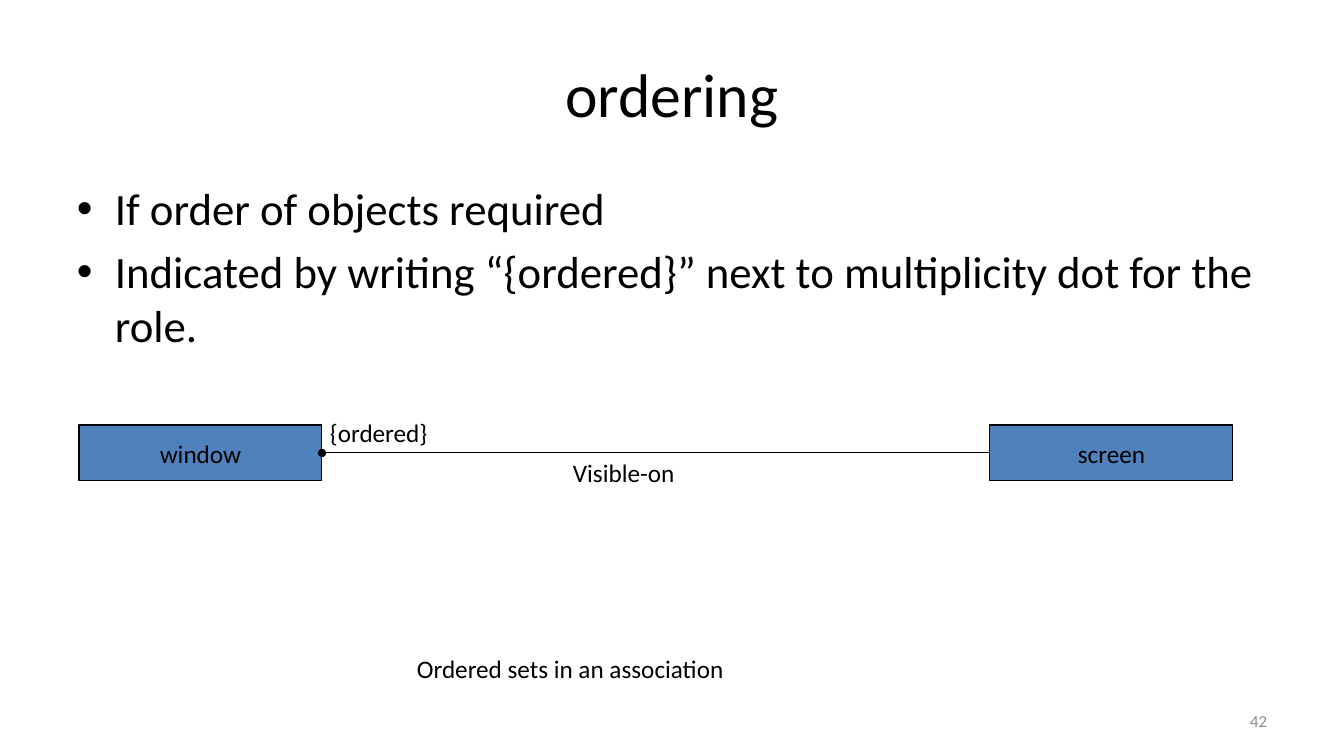
from lxml import etree
from pptx import Presentation
from pptx.dml.color import RGBColor
from pptx.enum.shapes import MSO_CONNECTOR, MSO_SHAPE
from pptx.enum.text import MSO_ANCHOR, MSO_AUTO_SIZE, PP_ALIGN
from pptx.oxml.ns import qn
from pptx.util import Emu, Pt

LEFT, CENTER, RIGHT = PP_ALIGN.LEFT, PP_ALIGN.CENTER, PP_ALIGN.RIGHT
TOP, MIDDLE = MSO_ANCHOR.TOP, MSO_ANCHOR.MIDDLE
FIT, NO_FIT = MSO_AUTO_SIZE.SHAPE_TO_FIT_TEXT, MSO_AUTO_SIZE.NONE
RECT, STRAIGHT = MSO_SHAPE.RECTANGLE, MSO_CONNECTOR.STRAIGHT

SCALE = 914400 / 100.8
FONT = "Calibri"
COLORS = {"ink": "000000", "box": "4F81BD", "page": "8C8C8C"}
POINTS = [
    "If order of objects required",
    "Indicated by writing “{ordered}” next to multiplicity dot for the role.",
]


def px(*sizes):
    """Turn pixel lengths into EMU."""
    return [Emu(round(size * SCALE)) for size in sizes]


def color(name):
    """Look up a named colour."""
    return RGBColor.from_string(COLORS[name])


def style(para, size, align=LEFT, ink="ink"):
    """Set the font and alignment of a paragraph."""
    para.alignment = align
    para.font.name = FONT
    para.font.size = Pt(size)
    para.font.color.rgb = color(ink)


def write(shape, text, size, align=LEFT, ink="ink", anchor=TOP, wrap=False):
    """Put one styled paragraph into a shape."""
    frame = shape.text_frame
    frame.text = text
    frame.word_wrap = wrap
    frame.vertical_anchor = anchor
    style(frame.paragraphs[0], size, align, ink)


def add_title(slide, box, text):
    """Place and format the title placeholder."""
    title = slide.shapes.title
    title.left, title.top, title.width, title.height = px(*box)
    write(title, text, 44, CENTER, anchor=MIDDLE, wrap=True)
    title.text_frame.auto_size = NO_FIT


def add_points(slide, box, points):
    """Add the bulleted list."""
    frame = slide.shapes.add_textbox(*px(*box)).text_frame
    frame.word_wrap = True
    for index, point in enumerate(points):
        para = frame.add_paragraph() if index else frame.paragraphs[0]
        para.text = point
        props = para._p.get_or_add_pPr()
        indent, = px(38)
        props.set("marL", str(indent))
        props.set("indent", str(-indent))
        etree.SubElement(props, qn("a:buFont"), typeface="Arial")
        etree.SubElement(props, qn("a:buChar"), char="•")
        style(para, 32)
        if index:
            para.space_before = Pt(6.4)


def add_label(slide, box, text):
    """Add a label that fits its text."""
    label = slide.shapes.add_textbox(*px(*box))
    write(label, text, 18)
    label.text_frame.auto_size = FIT


def add_class(slide, box, name):
    """Add a class box."""
    shape = slide.shapes.add_shape(RECT, *px(*box))
    shape.shadow.inherit = False
    shape.fill.solid()
    shape.fill.fore_color.rgb = color("box")
    shape.line.color.rgb = color("ink")
    shape.line.width = Pt(0.75)
    write(shape, name, 18, CENTER, anchor=MIDDLE)
    return shape


def add_link(slide, start, end):
    """Join two class boxes, with a dot at the start."""
    link = slide.shapes.add_connector(STRAIGHT, 0, 0, 0, 0)
    link.begin_connect(start, 3)
    link.end_connect(end, 1)
    link.line.color.rgb = color("ink")
    link.line.width = Pt(0.75)
    etree.SubElement(link.line._get_or_add_ln(), qn("a:headEnd"), type="oval")
    etree.SubElement(link._element.spPr, qn("a:effectLst"))


def add_diagram(slide, box):
    """Draw the association between two classes."""
    left, top, width, height = box
    wide = 243
    window = add_class(slide, (left, top, wide, height), "window")
    screen = add_class(slide, (left + width - wide, top, wide, height), "screen")
    add_link(slide, window, screen)
    add_label(slide, (left + 241, top - 13, 119, 40), "{ordered}")
    add_label(slide, (left + 484, top + 27, 123, 40), "Visible-on")
    add_label(slide, (left + 328, top + 223, 331, 40), "Ordered sets in an association")


def add_page(slide, box, number):
    """Add the slide number."""
    page = slide.shapes.add_textbox(*px(*box))
    write(page, number, 12, RIGHT, "page", MIDDLE, True)


def main():
    """Build and save the slide."""
    deck = Presentation()
    deck.slide_width, deck.slide_height = px(1344, 756)
    slide = deck.slides.add_slide(deck.slide_layouts[5])
    add_title(slide, (67, 30, 1210, 126), "ordering")
    add_points(slide, (67, 176, 1210, 499), POINTS)
    add_page(slide, (964, 701, 313, 40), "42")
    add_diagram(slide, (79, 425, 1154, 56))
    deck.save("out.pptx")


if __name__ == "__main__":
    main()
